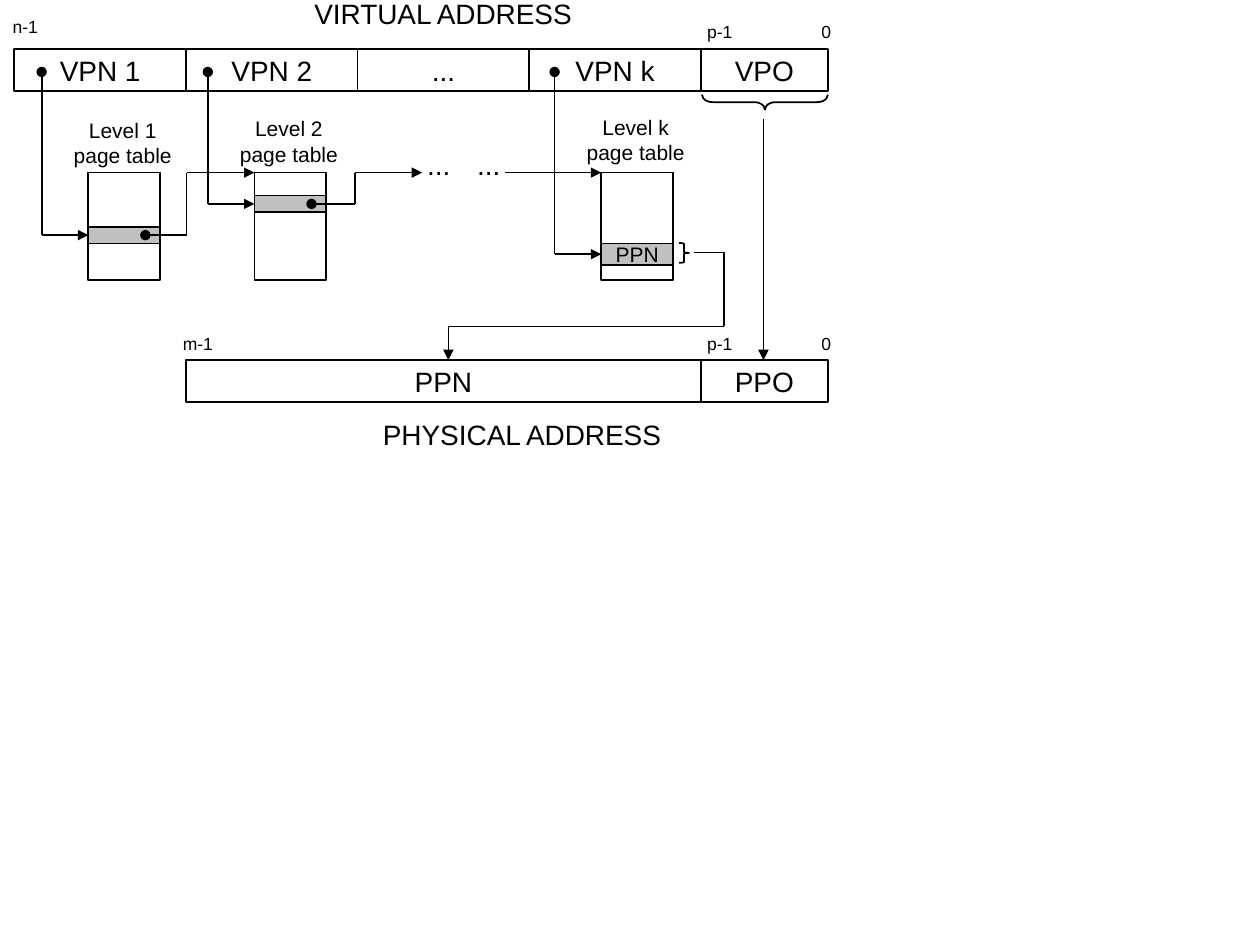
from typing import NamedTuple

from lxml.etree import SubElement
from pptx import Presentation
from pptx.dml.color import RGBColor
from pptx.enum.shapes import MSO_CONNECTOR as Conn, MSO_SHAPE as Shape
from pptx.enum.text import MSO_ANCHOR as Anchor, MSO_AUTO_SIZE as Fit, PP_ALIGN as Align
from pptx.oxml.ns import qn
from pptx.util import Cm, Pt

BLACK, GREY = "000000", "C0C0C0"
ROW_H = 0.85
VIRT_Y, PHYS_Y = 0.99, 7.26
CELL_X, CELL_W = 0.29, 3.46
OFF_X, OFF_W = CELL_X + 4 * CELL_W, 2.56
TAB_Y, TAB_W, TAB_H = 3.48, 1.45, 2.16


class Box(NamedTuple):
    x: float
    y: float
    w: float
    h: float


class Label(NamedTuple):
    text: str
    box: Box
    size: int


class Level(NamedTuple):
    name: str
    x: float
    label_y: float
    slot_y: float
    slot_h: float
    text: str = ""

    @property
    def mid(self) -> float:
        return self.slot_y + self.slot_h / 2


def color(code: str) -> RGBColor:
    return RGBColor.from_string(code)


def write(shape, text: str, size: int) -> None:
    frame = shape.text_frame
    frame.word_wrap = False
    frame.vertical_anchor = Anchor.MIDDLE
    frame.text = text
    for para in frame.paragraphs:
        para.alignment = Align.CENTER
        para.font.name = "Arial"
        para.font.size = Pt(size)
        para.font.color.rgb = color(BLACK)


def draw(kind: Shape, box: Box, fill: str = ""):
    shape = slide.shapes.add_shape(kind, *map(Cm, box))
    shape.shadow.inherit = False
    if fill:
        shape.fill.solid()
        shape.fill.fore_color.rgb = color(fill)
    else:
        shape.fill.background()
    shape.line.color.rgb = color(BLACK)
    shape.line.width = Pt(1)
    return shape


def cell(box: Box, text: str = "", size: int = 16, fill: str = "") -> None:
    shape = draw(Shape.RECTANGLE, box, fill)
    if text:
        write(shape, text, size)


def note(label: Label) -> None:
    shape = slide.shapes.add_textbox(*map(Cm, label.box))
    write(shape, label.text, label.size)
    shape.text_frame.auto_size = Fit.SHAPE_TO_FIT_TEXT


def route(*points: tuple[float, float], dot: bool = False, arrow: bool = True) -> None:
    """Join the points with straight lines, dotted at the start, arrowed at the end."""
    last = len(points) - 2
    for i, (start, end) in enumerate(zip(points, points[1:])):
        line = slide.shapes.add_connector(Conn.STRAIGHT, *map(Cm, start + end))
        line.line.color.rgb = color(BLACK)
        line.line.width = Pt(1)
        props = line.line._get_or_add_ln()
        if dot and i == 0:
            SubElement(props, qn("a:headEnd"), type="oval")
        if arrow and i == last:
            SubElement(props, qn("a:tailEnd"), type="triangle")
        SubElement(line._element.spPr, qn("a:effectLst"))


deck = Presentation()
deck.slide_width, deck.slide_height = Cm(25.4), Cm(19.05)
slide = deck.slides.add_slide(deck.slide_layouts[6])

# Virtual and physical address rows
for i, text in enumerate(("VPN 1", "VPN 2", "...", "VPN k")):
    cell(Box(CELL_X + i * CELL_W, VIRT_Y, CELL_W, ROW_H), text)
cell(Box(OFF_X, VIRT_Y, OFF_W, ROW_H), "VPO")
cell(Box(CELL_X + CELL_W, PHYS_Y, 3 * CELL_W, ROW_H), "PPN")
cell(Box(OFF_X, PHYS_Y, OFF_W, ROW_H), "PPO")

# Page tables, each with the pointer from its VPN
levels = [
    Level("Level 1", 1.78, 2.24, 4.57, 0.34),
    Level("Level 2", 5.13, 2.21, 3.94, 0.34),
    Level("Level k", 12.12, 2.18, 4.91, 0.43, "PPN"),
]
for lev in levels:
    stem = lev.x - 0.94
    cell(Box(lev.x, TAB_Y, TAB_W, TAB_H))
    cell(Box(lev.x, lev.slot_y, TAB_W, lev.slot_h), lev.text, 12, GREY)
    route((stem, 1.45), (stem, lev.mid), (lev.x, lev.mid), dot=True)
    note(Label(f"{lev.name}\npage table", Box(lev.x - 0.55, lev.label_y, 2.49, 1.27), 12))

# Links from one table to the next
first, second, final = levels
for lev, bend, end in ((first, 3.76, second.x), (second, 7.15, 8.51)):
    route((lev.x + 1.15, lev.mid), (bend, lev.mid), (bend, TAB_Y), (end, TAB_Y), dot=True)
route((10.19, TAB_Y), (final.x, TAB_Y))

# Paths down to the physical address
route((15.39, 2.39), (15.39, PHYS_Y))
route((14.0, 5.09), (14.59, 5.09), (14.59, 6.58), (9.04, 6.58), (9.04, PHYS_Y))

# Braces
under = draw(Shape.RIGHT_BRACE, Box(15.27, 0.79, 0.3, 2.54))
under.rotation = 90
under.adjustments[0] = 0.72
draw(Shape.RIGHT_BRACE, Box(13.69, 4.9, 0.2, 0.4))

# Headings, bit numbers and dots
labels = [
    Label("VIRTUAL ADDRESS", Box(6.05, -0.2, 5.77, 0.94), 16),
    Label("PHYSICAL ADDRESS", Box(7.44, 8.28, 6.17, 0.94), 16),
    Label("n-1", Box(0, 0.2, 1.02, 0.69), 10),
    Label("m-1", Box(3.43, 6.58, 1.12, 0.69), 10),
]
for y in (0.3, 6.58):
    labels += [
        Label("p-1", Box(14.0, y, 1.02, 0.69), 10),
        Label("0", Box(16.31, y, 0.69, 0.69), 10),
    ]
labels += [Label("...", Box(x, 2.84, 0.97, 0.94), 16) for x in (8.36, 9.37)]
for label in labels:
    note(label)

deck.save("out.pptx")
